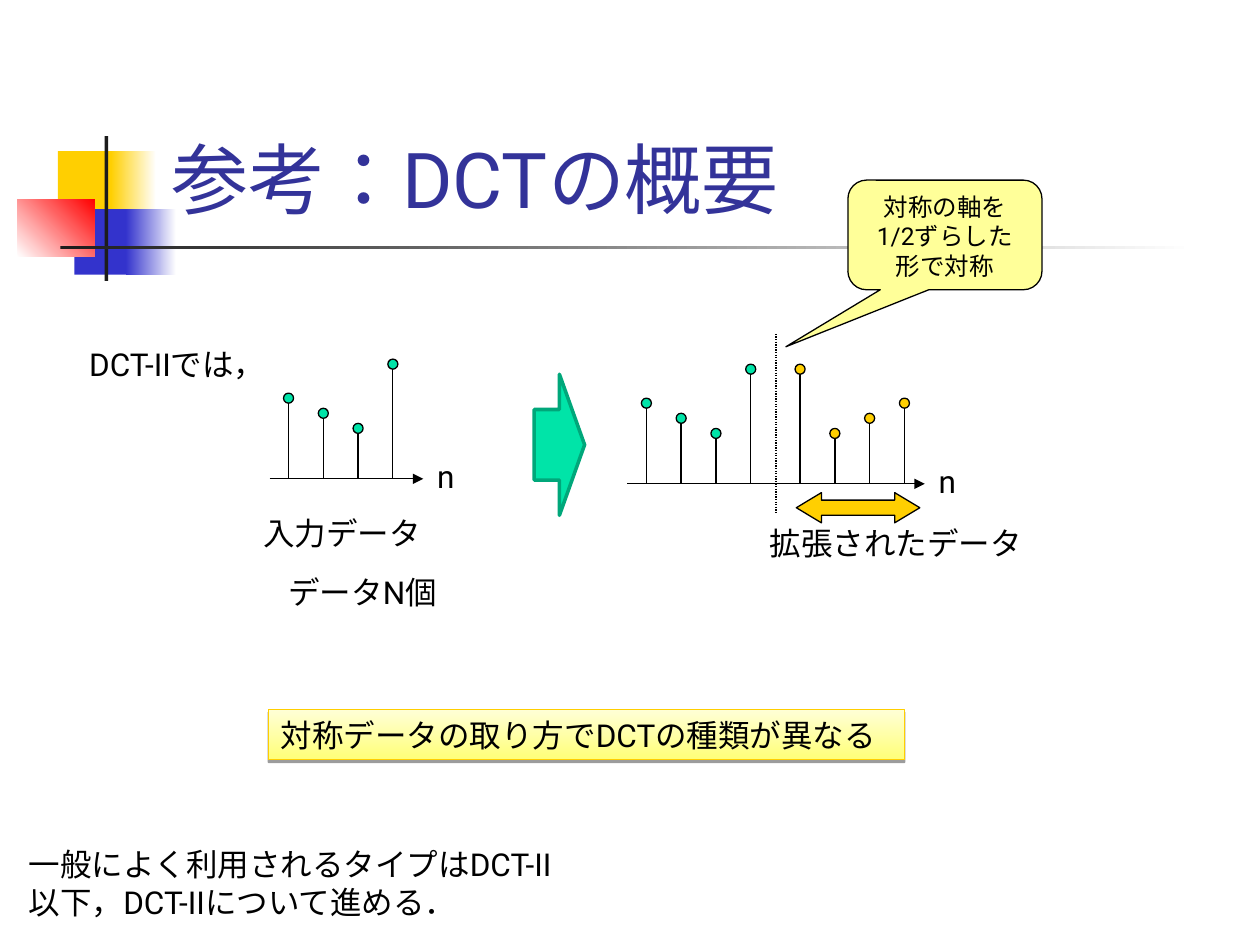
from lxml import etree
from pptx import Presentation
from pptx.dml.color import RGBColor
from pptx.enum.dml import MSO_LINE_DASH_STYLE as Dash
from pptx.enum.lang import MSO_LANGUAGE_ID as Lang
from pptx.enum.shapes import MSO_CONNECTOR as Conn, MSO_SHAPE as Kind
from pptx.enum.text import MSO_ANCHOR as Anchor, PP_ALIGN as Align
from pptx.oxml import parse_xml
from pptx.oxml.ns import qn
from pptx.util import Inches, Pt

BLACK = RGBColor(0x00, 0x00, 0x00)
WHITE = RGBColor(0xFF, 0xFF, 0xFF)
DARK = RGBColor(0x1C, 0x1C, 0x1C)
GOLD = RGBColor(0xFF, 0xCF, 0x01)
EDGE = RGBColor(0xFF, 0xCE, 0x00)
BLUE = RGBColor(0x33, 0x33, 0xCC)
NAVY = RGBColor(0x33, 0x33, 0x99)
RED = RGBColor(0xFF, 0x00, 0x00)
GREEN = RGBColor(0x00, 0xE4, 0xA8)
TEAL = RGBColor(0x00, 0xA7, 0x7A)
CREAM = RGBColor(0xFF, 0xFF, 0x99)
LEMON = RGBColor(0xFF, 0xFF, 0x78)
PALE = RGBColor(0xFF, 0xFF, 0xD7)

FONT = "Roboto"
DOT = 0.08
STEP = 0.276
TOPS = [0.27, 0.39, 0.51, 0]  # dot tops below the top of the plot
BASE = 0.95  # axis below the top of the plot

SHADOW = (
    '<a:effectLst xmlns:a="http://schemas.openxmlformats.org/drawingml/2006/main">'
    '<a:outerShdw dist="20320" dir="5400000" rotWithShape="0">'
    '<a:srgbClr val="000000"><a:alpha val="38000"/></a:srgbClr>'
    '</a:outerShdw></a:effectLst>'
)


def add_form(slide, kind, box, fill, line=None, width=0.75, angle=0, adj=()):
    """Add a preset shape; a pair of colours as fill gives a gradient."""
    form = slide.shapes.add_shape(kind, *map(Inches, box))
    form.shadow.inherit = False
    if isinstance(fill, list):
        form.fill.gradient()
        form.fill.gradient_angle = angle
        for stop, color in zip(form.fill.gradient_stops, fill):
            stop.color.rgb = color
    else:
        form.fill.solid()
        form.fill.fore_color.rgb = fill
    if line is None:
        form.line.fill.background()
    else:
        form.line.color.rgb = line
        form.line.width = Pt(width)
    for i, value in enumerate(adj):
        form.adjustments[i] = value
    return form


def add_line(slide, x1, y1, x2, y2, arrow=False, dash=None):
    line = slide.shapes.add_connector(Conn.STRAIGHT, *map(Inches, (x1, y1, x2, y2)))
    line.line.color.rgb = BLACK
    line.line.width = Pt(0.75)
    if dash:
        line.line.dash_style = dash
    if arrow:
        etree.SubElement(line.line._get_or_add_ln(), qn("a:tailEnd"), type="triangle")
    etree.SubElement(line._element.spPr, qn("a:effectLst"))


def set_text(form, text, size=18, color=BLACK, wrap=False, align=Align.LEFT,
             anchor=Anchor.TOP):
    frame = form.text_frame
    frame.text = text
    frame.word_wrap = wrap
    frame.vertical_anchor = anchor
    for para in frame.paragraphs:
        para.alignment = align
        for run in para.runs:
            font = run.font
            font.size = Pt(size)
            font.name = FONT
            font.color.rgb = color
            font.language_id = Lang.JAPANESE


def add_text(slide, box, text, **style):
    set_text(slide.shapes.add_textbox(*map(Inches, box)), text, **style)


def add_title(slide, x, y):
    """Coloured blocks, crossing bars and the title."""
    blocks = [
        (0.32, 0.12, 0.48, 0.52, GOLD, 0),
        (0.74, 0.12, 0.36, 0.52, [GOLD, WHITE], 0),
        (0.45, 0.58, 0.46, 0.52, BLUE, 0),
        (0.86, 0.58, 0.4, 0.52, [BLUE, WHITE], 0),
        (0, 0.5, 0.61, 0.46, [WHITE, RED], 45),
        (0.69, 0, 0.03, 1.15, DARK, 0),
        (0.34, 0.87, 9, 0.03, [DARK, WHITE], 0),
    ]
    for dx, dy, w, h, fill, angle in blocks:
        add_form(slide, Kind.RECTANGLE, (x + dx, y + dy, w, h), fill, angle=angle)
    add_text(slide, (x + 1.12, y - 0.85, 8.52, 1.6), "参考：DCTの概要", size=44,
             color=NAVY, wrap=True, anchor=Anchor.BOTTOM)


def add_stems(slide, x, y, tops, color):
    """Equally spaced stems, each with a dot on top."""
    for i, top in enumerate(tops):
        left = x + i * STEP
        mid = left + DOT / 2
        add_line(slide, mid, y + top + DOT, mid, y + BASE)
        add_form(slide, Kind.OVAL, (left, y + top, DOT, DOT), color, BLACK)


def add_axis(slide, x, y, width):
    add_line(slide, x, y + BASE, x + width, y + BASE, arrow=True)
    add_text(slide, (x + width + 0.01, y + 0.73, 0.35, 0.4), "n")


def add_input(slide, x, y):
    """Input data plot with its captions."""
    add_axis(slide, x, y, 1.22)
    add_stems(slide, x + 0.11, y, TOPS, GREEN)
    add_text(slide, (x - 1.53, y - 0.16, 1.74, 0.4), "DCT-IIでは，")
    add_text(slide, (x - 0.15, y + 1.18, 1.45, 0.4), "入力データ")
    add_text(slide, (x + 0.05, y + 1.65, 1.51, 0.4), "データN個")


def add_mirror(slide, x, y):
    """Extended data plot: the input and its mirror image."""
    add_axis(slide, x, y, 2.36)
    add_stems(slide, x + 0.11, y, TOPS, GREEN)
    add_stems(slide, x + 1.33, y, TOPS[::-1], GOLD)
    add_line(slide, x + 1.18, y - 0.24, x + 1.18, y + 1.18, dash=Dash.ROUND_DOT)
    add_form(slide, Kind.LEFT_RIGHT_ARROW, (x + 1.34, y + 1.02, 0.98, 0.24), GOLD,
             BLACK, adj=(0.5, 0.83))
    add_text(slide, (x + 1.03, y + 1.22, 2.2, 0.4), "拡張されたデータ")
    note = add_form(slide, Kind.ROUNDED_RECTANGULAR_CALLOUT,
                    (x + 1.75, y - 1.46, 1.54, 0.87), CREAM, BLACK,
                    adj=(-0.82, 1.02, 0.17))
    set_text(note, "対称の軸を1/2ずらした形で対称", size=14, wrap=True,
             align=Align.CENTER)


def add_notes(slide, x, y):
    """Highlighted statement and closing remark."""
    bar = add_form(slide, Kind.RECTANGLE, (x + 2, y, 5.05, 0.4), [LEMON, PALE], EDGE,
                   angle=90)
    set_text(bar, "対称データの取り方でDCTの種類が異なる")
    props = bar._element.spPr
    props.replace(props.find(qn("a:effectLst")), parse_xml(SHADOW))
    add_text(slide, (x, y + 1.03, 4.49, 0.7),
             "一般によく利用されるタイプはDCT-II\n以下，DCT-IIについて進める．")


def main():
    deck = Presentation()
    deck.slide_width, deck.slide_height = Inches(10), Inches(7.5)
    slide = deck.slides.add_slide(deck.slide_layouts[6])
    add_title(slide, 0.14, 1.08)
    add_input(slide, 2.14, 2.85)
    add_form(slide, Kind.RIGHT_ARROW, (4.24, 2.97, 0.4, 1.12), GREEN, TEAL, width=2)
    add_mirror(slide, 4.98, 2.89)
    add_notes(slide, 0.13, 5.63)
    deck.save("out.pptx")


if __name__ == "__main__":
    main()
